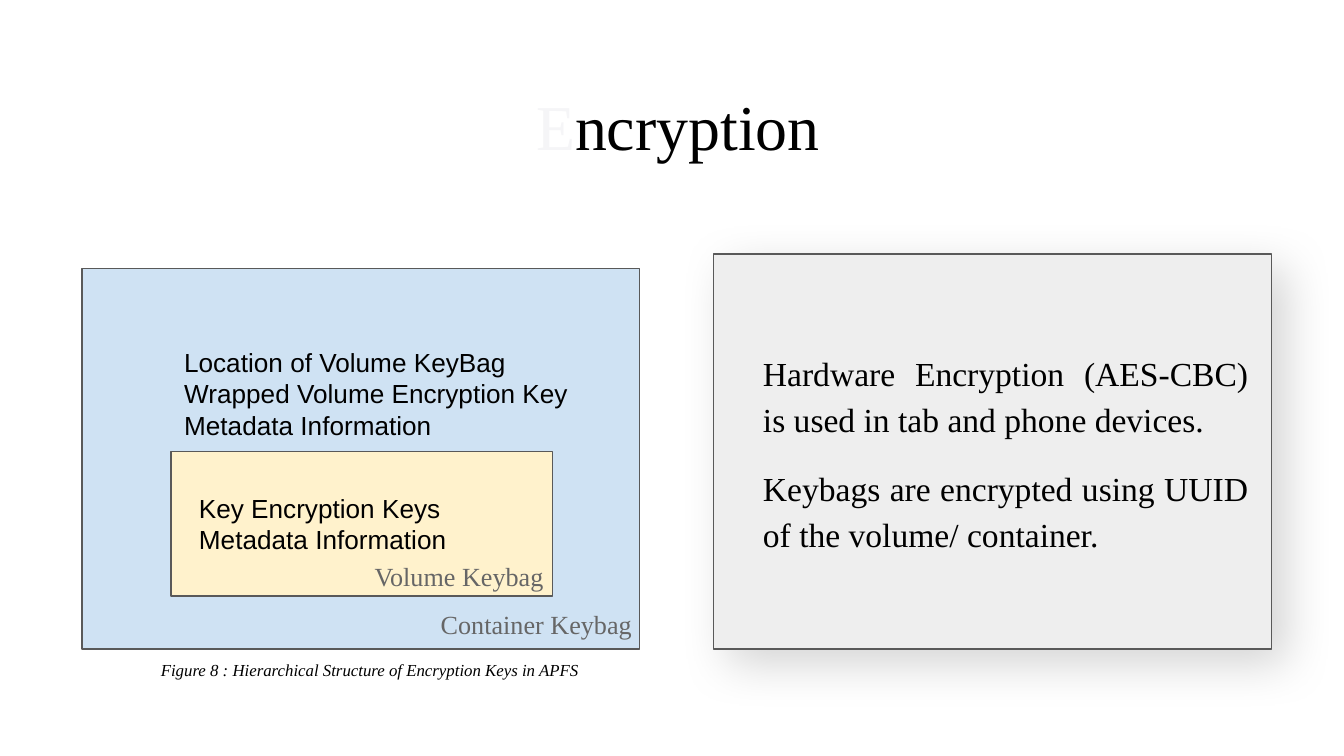
from lxml import etree
from pptx import Presentation
from pptx.dml.color import RGBColor
from pptx.enum.shapes import MSO_SHAPE
from pptx.enum.text import MSO_ANCHOR, MSO_AUTO_SIZE, PP_ALIGN
from pptx.oxml.ns import qn
from pptx.util import Cm, Pt

RECT = MSO_SHAPE.RECTANGLE
TOP, MIDDLE = MSO_ANCHOR.TOP, MSO_ANCHOR.MIDDLE
LEFT, JUSTIFY = PP_ALIGN.LEFT, PP_ALIGN.JUSTIFY
NO_FIT = MSO_AUTO_SIZE.NONE
SERIF, SANS = "Times New Roman", "Arial"
BLACK, GRAY, BORDER = "000000", "666666", "595959"
INSET = 0.25


def rgb(color):
    return RGBColor.from_string(color)


def write(s, paragraphs, size=14, font=SERIF, color=BLACK, italic=False,
          align=LEFT, anchor=TOP, spacing=None, gap=0, left=INSET, top=INSET):
    """Fill s; each paragraph is a string or a list of (text, color) runs."""
    tf = s.text_frame
    tf.word_wrap = True
    tf.auto_size = NO_FIT
    tf.vertical_anchor = anchor
    tf.margin_left, tf.margin_top = Cm(left), Cm(top)
    tf.margin_right = tf.margin_bottom = Cm(INSET)
    for i, runs in enumerate(paragraphs):
        p = tf.add_paragraph() if i else tf.paragraphs[0]
        p.alignment = align
        p.space_before = Pt(gap if i else 0)
        if spacing:
            p.line_spacing = spacing
        if isinstance(runs, str):
            runs = [(runs, color)]
        for text, run_color in runs:
            r = p.add_run()
            r.text = text
            r.font.name, r.font.size = font, Pt(size)
            r.font.italic = italic
            r.font.color.rgb = rgb(run_color)


def add_text(slide, x, y, w, h, paragraphs, **style):
    s = slide.shapes.add_textbox(Cm(x), Cm(y), Cm(w), Cm(h))
    write(s, paragraphs, **style)


def add_box(slide, x, y, w, h, fill):
    s = slide.shapes.add_shape(RECT, Cm(x), Cm(y), Cm(w), Cm(h))
    s.shadow.inherit = False
    s.fill.solid()
    s.fill.fore_color.rgb = rgb(fill)
    s.line.color.rgb = rgb(BORDER)
    s.line.width = Pt(0.75)
    return s


def add_shadow(s, blur, distance, angle, alpha):
    effects = s.element.spPr.find(qn("a:effectLst"))
    shadow = etree.SubElement(
        effects, qn("a:outerShdw"), blurRad=str(Pt(blur)), dist=str(Pt(distance)),
        dir=str(angle * 60000), algn="bl", rotWithShape="0")
    color = etree.SubElement(shadow, qn("a:srgbClr"), val=BLACK)
    etree.SubElement(color, qn("a:alpha"), val=str(alpha * 1000))


def place_title(slide, x, y, w, h):
    s = slide.shapes.title
    s.left, s.top, s.width, s.height = Cm(x), Cm(y), Cm(w), Cm(h)
    write(s, [[("E", "F5F5F7"), ("ncryption", BLACK)]], size=34.2,
          left=0.55, top=0.39)


def place_notes_panel(slide, x, y, w, h):
    panel = add_box(slide, x, y, w, h, "EEEEEE")
    add_shadow(panel, blur=25.9, distance=10.5, angle=46, alpha=17)
    add_text(slide, x + 0.68, y + 1.5, w - 0.86, h - 1.5, [
        "Hardware Encryption (AES-CBC) is used in tab and phone devices.",
        "Keybags are encrypted using UUID of the volume/ container.",
    ], size=18, align=JUSTIFY, spacing=1.15, gap=12)


def place_keybag_diagram(slide, x, y, w, h):
    # Container keybag with the volume keybag nested inside
    add_box(slide, x, y, w, h, "CFE2F3")
    volume = add_box(slide, x + 1.68, y + 3.45, 7.21, 2.74, "FFF2CC")
    write(volume, ["Key Encryption Keys", "Metadata Information"],
          font=SANS, anchor=MIDDLE, left=0.53)
    add_text(slide, x + 1.68, y + 1.22, 7.87, 2.31, [
        "Location of Volume KeyBag Wrapped Volume Encryption Key",
        "Metadata Information",
    ], font=SANS)

    # Box names
    for name, dx, dy in (("Container Keybag", 6.53, 6.17),
                         ("Volume Keybag", 5.28, 5.26)):
        add_text(slide, x + dx, y + dy, 5.46, 1.12, [name], color=GRAY)

    # Caption
    add_text(slide, x + 1.24, y + h - 0.05, 10.19, 0.89,
             ["Figure 8 : Hierarchical Structure of Encryption Keys in APFS"],
             size=9, italic=True)


def main():
    prs = Presentation()
    prs.slide_width, prs.slide_height = Cm(25.4), Cm(14.29)
    slide = prs.slides.add_slide(prs.slide_layouts[5])
    place_title(slide, 9.58, 1.24, 11.43, 1.6)
    place_notes_panel(slide, 13.49, 4.8, 10.54, 7.47)
    place_keybag_diagram(slide, 1.55, 5.08, 10.54, 7.19)
    prs.save("out.pptx")


if __name__ == "__main__":
    main()
